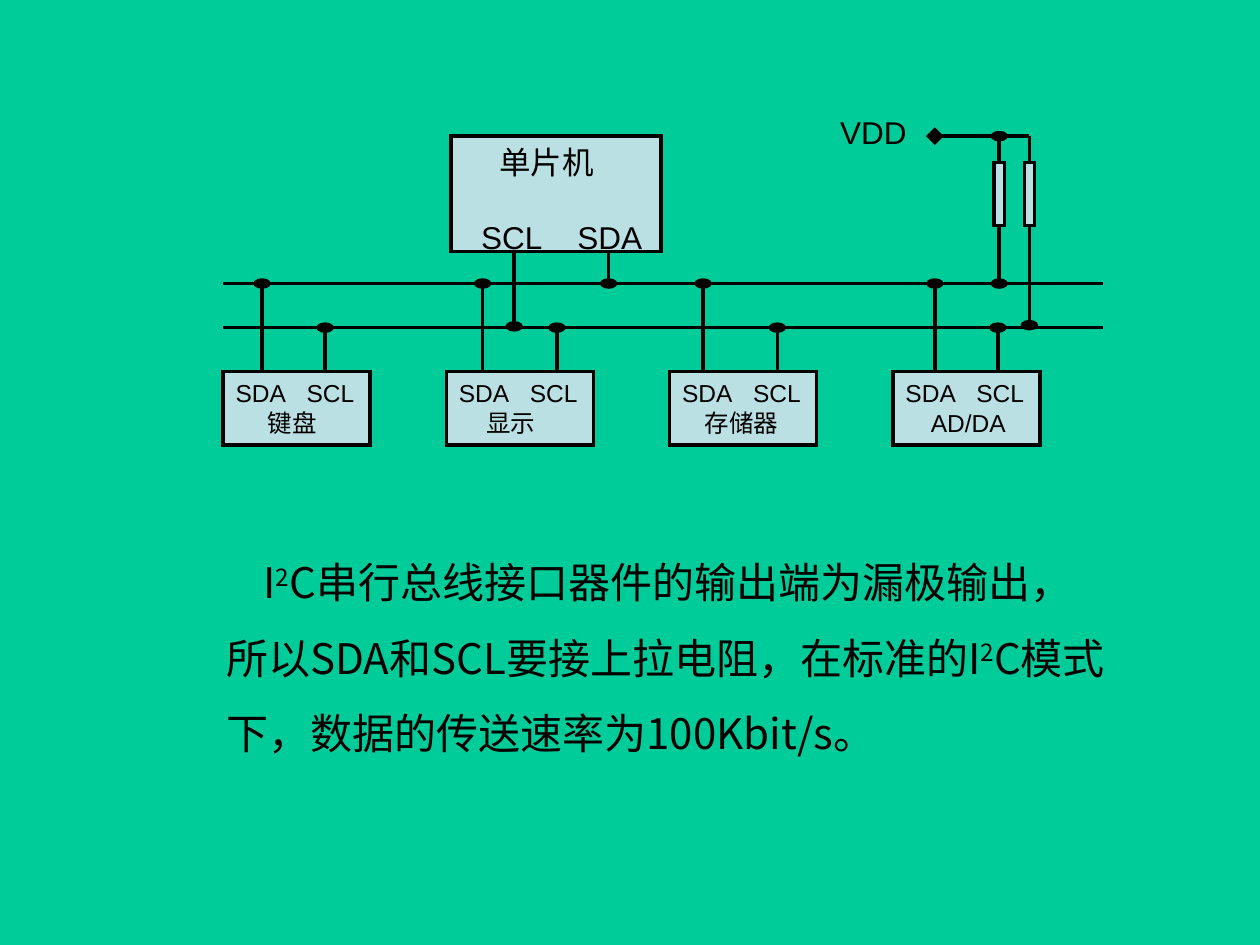
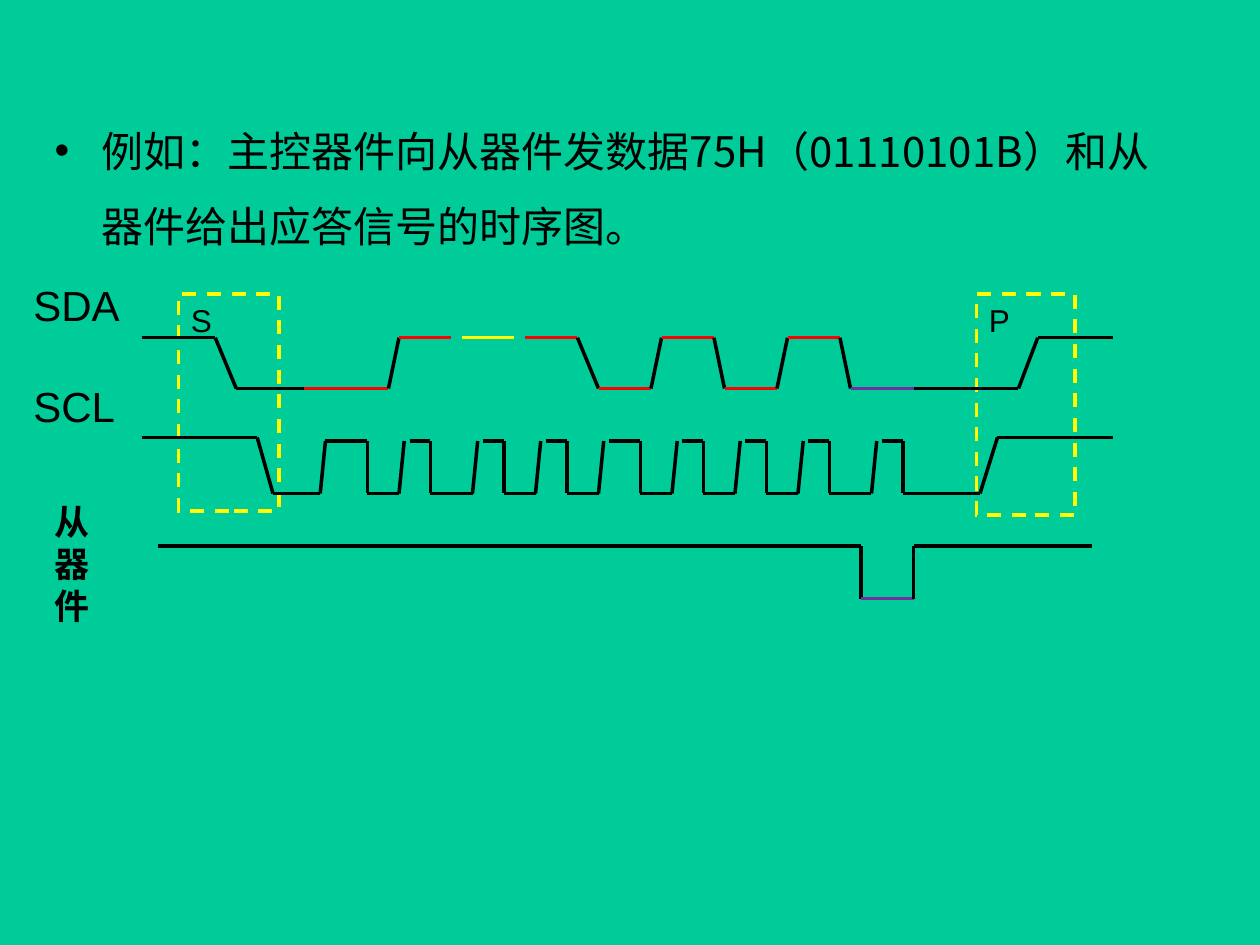
import dataclasses

import pptx
import pptx.dml.color
import pptx.enum.dml
import pptx.enum.shapes
import pptx.enum.text
import pptx.oxml.ns
import pptx.slide
import pptx.util
from lxml import etree

Pt = pptx.util.Pt

BACKGROUND = "00CC99"
BOX_FILL = "BBE0E3"
BLACK = "000000"
RED = "FF0000"
YELLOW = "FFFF00"
PURPLE = "7030A0"
LATIN_FONT = "Arial"
CHINESE_FONT = "Noto Sans CJK SC"
LINE_WIDTH = 2
LINE_PITCH = 1.2


def color(hex_code):
    return pptx.dml.color.RGBColor.from_string(hex_code)


def add_element(parent, tag, **attributes):
    return etree.SubElement(parent, pptx.oxml.ns.qn(tag), attributes)


def set_font(paragraph, size, name=LATIN_FONT, bold=False):
    font = paragraph.font
    font.size = Pt(size)
    font.bold = bold
    font.color.rgb = color(BLACK)
    font.name = name
    defaults = paragraph._p.pPr.find(pptx.oxml.ns.qn("a:defRPr"))
    add_element(defaults, "a:ea", typeface=CHINESE_FONT)


def add_run(paragraph, text, **attributes):
    run = paragraph.add_run()
    run.text = text
    for name, value in attributes.items():
        run._r.get_or_add_rPr().set(name, str(value))


@dataclasses.dataclass
class Line:
    """One line of a label: its words, indent, extra word gap and empty lines above."""
    text: str
    indent: float = 0
    gap: float = 0
    skip: int = 0


def write_lines(frame, lines, size, bold=False):
    frame.word_wrap = True
    frame.vertical_anchor = pptx.enum.text.MSO_ANCHOR.TOP
    frame.margin_top = Pt(3.8)
    for index, line in enumerate(lines):
        paragraph = frame.add_paragraph() if index else frame.paragraphs[0]
        paragraph.alignment = pptx.enum.text.PP_ALIGN.LEFT
        paragraph.line_spacing = Pt(LINE_PITCH * size)
        if line.skip:
            paragraph.space_before = Pt(line.skip * LINE_PITCH * size)
        properties = paragraph._p.get_or_add_pPr()
        properties.set("marL", str(Pt(line.indent)))
        properties.set("indent", "0")
        set_font(paragraph, size, bold=bold)
        for position, word in enumerate(line.text.split()):
            if position:
                add_run(paragraph, " ", spc=round(line.gap * 100))
            add_run(paragraph, word)


@dataclasses.dataclass
class Region:
    """A part of a slide; everything in it is placed from its top left corner."""
    slide: pptx.slide.Slide
    left: float
    top: float

    def place(self, x, y):
        return Pt(self.left + x), Pt(self.top + y)

    def line(self, start, end, hex_code=BLACK, head=None, tail=None):
        connector = self.slide.shapes.add_connector(
            pptx.enum.shapes.MSO_CONNECTOR.STRAIGHT, *self.place(*start), *self.place(*end))
        connector.line.color.rgb = color(hex_code)
        connector.line.width = Pt(LINE_WIDTH)
        outline = connector.line._get_or_add_ln()
        for tag, kind in (("a:headEnd", head), ("a:tailEnd", tail)):
            if kind:
                length = "lg" if kind == "diamond" else "med"
                add_element(outline, tag, type=kind, w="lg", len=length)
        add_element(connector._element.spPr, "a:effectLst")

    def box(self, x, y, width, height, fill=BOX_FILL, outline=BLACK):
        shape = self.slide.shapes.add_shape(
            pptx.enum.shapes.MSO_SHAPE.RECTANGLE, *self.place(x, y), Pt(width), Pt(height))
        shape.shadow.inherit = False
        if fill:
            shape.fill.solid()
            shape.fill.fore_color.rgb = color(fill)
        else:
            shape.fill.background()
        if outline:
            shape.line.color.rgb = color(outline)
            shape.line.width = Pt(LINE_WIDTH)
            add_element(shape.line._get_or_add_ln(), "a:miter", lim="800000")
        else:
            shape.line.fill.background()
        return shape

    def text(self, x, y, width, height):
        return self.slide.shapes.add_textbox(
            *self.place(x, y), Pt(width), Pt(height)).text_frame

    def trace(self, start, steps):
        """Draw a waveform from steps of (x, y, colour); no colour leaves a gap."""
        for x, y, hex_code in steps:
            if hex_code:
                self.line(start, (x, y), hex_code)
            start = (x, y)


# Heights of the two bus wires and of the supply within the schematic
SDA_BUS, SCL_BUS, SUPPLY = 102, 127.2, 17.8


def draw_microcontroller(region):
    left, width, height = 130.3, 120, 66
    frame = region.box(left, SUPPLY, width, height).text_frame
    write_lines(frame, [Line("单片机", 20.5), Line("SCL SDA", 10, 15, skip=1)], 18)
    bottom = SUPPLY + height
    for offset, bus in ((36, SCL_BUS - 0.7), (90, SDA_BUS)):
        region.line((left + offset, bottom), (left + offset, bus), tail="oval")


def draw_devices(region):
    top, pitch, width, height = 152.4, 127.6, 84, 42
    devices = [("键盘", 18.5, 22.3, 58.3), ("显示", 15.6, 148.3, 190.7),
               ("存储器", 12.8, 274.3, 316.7), ("AD/DA", 14.5, 406.7, 442.7)]
    for index, (name, indent, sda_x, scl_x) in enumerate(devices):
        frame = region.box(index * pitch, top, width, height).text_frame
        write_lines(frame, [Line("SDA SCL", gap=7.8), Line(name, indent)], 14)
        region.line((sda_x, SDA_BUS), (sda_x, top), head="oval")
        region.line((scl_x, SCL_BUS), (scl_x, top), head="oval")


def draw_pull_ups(region):
    label = region.box(345.5, 0.5, 54, 24, BACKGROUND, None)
    write_lines(label.text_frame, [Line("VDD")], 18)
    top, width, height = 33, 5.8, 36
    sda_x, scl_x = 443.5, 460.7
    for x, bus, joint in ((sda_x, SDA_BUS, "oval"), (scl_x, SCL_BUS - 1.4, None)):
        region.box(x - width / 2, top, width, height)
        region.line((x, SUPPLY), (x, top), head=joint)
        region.line((x, top + height), (x, bus), tail="oval")
    region.line((scl_x, SUPPLY), (406.7, SUPPLY), tail="diamond")


def write_bus_note(region):
    frame = region.text(0, 0, 520, 136.8)
    frame.word_wrap = True
    paragraph = frame.paragraphs[0]
    paragraph.line_spacing = 1.5
    paragraph._p.get_or_add_pPr().set("indent", str(Pt(21.2)))
    set_font(paragraph, 24, CHINESE_FONT)
    add_run(paragraph, "I")
    add_run(paragraph, "2", baseline=30000)
    add_run(paragraph, "C串行总线接口器件的输出端为漏极输出，所以SDA和SCL要接上拉电阻，在标准的I")
    add_run(paragraph, "2", baseline=30000)
    add_run(paragraph, "C模式下，数据的传送速率为100Kbit/s。")


def build_bus_slide(presentation):
    slide = presentation.slides.add_slide(presentation.slide_layouts[6])
    schematic = Region(slide, 127.5, 60)
    draw_microcontroller(schematic)
    for bus in (SDA_BUS, SCL_BUS):
        schematic.line((0, bus), (502.5, bus))
    draw_devices(schematic)
    draw_pull_ups(schematic)
    write_bus_note(Region(slide, 122.4, 300.2))


def write_example(body):
    body.left, body.top, body.width, body.height = Pt(24), Pt(53.6), Pt(648), Pt(428)
    frame = body.text_frame
    frame.auto_size = pptx.enum.text.MSO_AUTO_SIZE.NONE
    frame.vertical_anchor = pptx.enum.text.MSO_ANCHOR.TOP
    paragraph = frame.paragraphs[0]
    paragraph.text = "例如：主控器件向从器件发数据75H（01110101B）和从器件给出应答信号的时序图。"
    paragraph.line_spacing = 1.5
    paragraph.space_before = Pt(0)
    properties = paragraph._p.get_or_add_pPr()
    properties.set("marL", str(Pt(27)))
    properties.set("indent", str(Pt(-27)))
    bullet_color = add_element(properties, "a:buClr")
    add_element(bullet_color, "a:srgbClr", val=BLACK)
    add_element(properties, "a:buFont", typeface=LATIN_FONT)
    add_element(properties, "a:buChar", char="•")
    set_font(paragraph, 24, CHINESE_FONT)


def write_signal_names(region):
    write_lines(region.text(0, 0, 72, 124), [Line("SDA"), Line("SCL", skip=1)], 24)
    write_lines(region.text(12, 126, 48, 79), [Line("从器件")], 20, bold=True)


def draw_conditions(region):
    """Frame the start and the stop condition."""
    for name, left, width, height in (("S", 22, 57.6, 124), ("P", 478, 56.4, 126.4)):
        shape = region.box(left, 18, width, height, None, YELLOW)
        shape.line.dash_style = pptx.enum.dml.MSO_LINE.DASH
        write_lines(shape.text_frame, [Line(name)], 18)


def draw_sda(region):
    high, low = 43, 72
    region.trace((1, high), [
        (43, high, BLACK), (55, low, BLACK), (94, low, BLACK), (142, low, RED),
        (148, high, BLACK), (178, high, RED), (184, high, None), (214, high, YELLOW),
        (220, high, None), (250, high, RED), (262, low, BLACK), (292, low, RED),
        (298, high, BLACK), (328, high, RED), (334, low, BLACK), (364, low, RED),
        (370, high, BLACK), (400, high, RED), (406, low, BLACK), (442, low, PURPLE),
        (502, low, BLACK), (513, high, BLACK), (556, high, BLACK)])


def draw_scl(region):
    idle, high, low = 100, 102, 132
    steps = [(67, idle), (76, low), (103, low), (106, high), (130, high), (130, low)]
    steps = [(x, y, BLACK) for x, y in steps]
    for rise, fall in ((148, 166), (190, 208), (226, 244), (262, 286),
                       (304, 322), (340, 358), (376, 394), (418, 436)):
        steps += [(rise, low, BLACK), (rise + 3, high, BLACK), (rise + 6, high, None),
                  (fall, high, BLACK), (fall, low, BLACK)]
    steps += [(480, low, BLACK), (490, idle, BLACK), (556, idle, BLACK)]
    region.trace((1, idle), steps)


def draw_slave(region):
    high, low = 162, 192
    region.trace((10, high), [(412, high, BLACK), (412, low, BLACK), (442, low, PURPLE),
                              (442, high, BLACK), (544, high, BLACK)])


def build_timing_slide(presentation):
    slide = presentation.slides.add_slide(presentation.slide_layouts[1])
    title = slide.shapes.title._element
    title.getparent().remove(title)
    write_example(slide.placeholders[1])
    write_signal_names(Region(slide, 12, 156))
    waveforms = Region(slide, 80, 150)
    draw_conditions(waveforms)
    draw_sda(waveforms)
    draw_scl(waveforms)
    draw_slave(waveforms)


def main():
    presentation = pptx.Presentation()
    presentation.slide_width, presentation.slide_height = Pt(720), Pt(540)
    background = presentation.slide_master.background.fill
    background.solid()
    background.fore_color.rgb = color(BACKGROUND)
    build_bus_slide(presentation)
    build_timing_slide(presentation)
    presentation.save("out.pptx")


if __name__ == "__main__":
    main()
